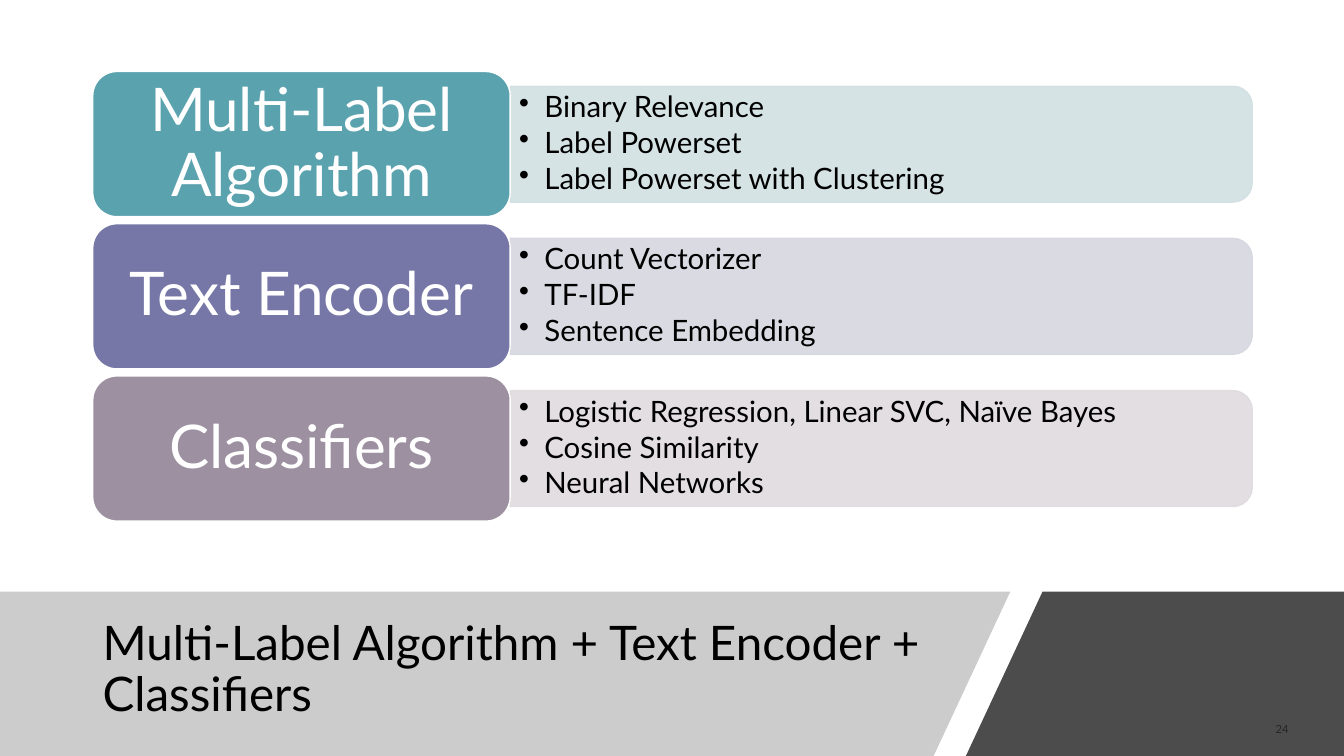
from pptx import Presentation
from pptx.dml.color import RGBColor
from pptx.enum.shapes import MSO_SHAPE as Shape
from pptx.enum.text import MSO_ANCHOR as Anchor, PP_ALIGN as Align
from pptx.oxml.ns import qn
from pptx.oxml.xmlchemy import OxmlElement
from pptx.util import Inches, Pt

COLORS = {
    "black": "000000", "white": "FFFFFF", "gray": "808080",
    "teal": "5AA2AE", "teal_light": "D2E0E3",
    "violet": "7677A6", "violet_light": "D7D7E1",
    "mauve": "9D90A0", "mauve_light": "DFDBDF",
}
TITLE = "Multi-Label Algorithm + Text Encoder + Classifiers"
STAGES = [
    ("Multi-Label Algorithm", "teal",
     ["Binary Relevance", "Label Powerset", "Label Powerset with Clustering"]),
    ("Text Encoder", "violet",
     ["Count Vectorizer", "TF-IDF", "Sentence Embedding"]),
    ("Classifiers", "mauve",
     ["Logistic Regression, Linear SVC, Naïve Bayes", "Cosine Similarity", "Neural Networks"]),
]
BAND_TOP, PAGE_WIDTH, PAGE_HEIGHT = 5.87, 13.33, 7.5
CARD_LEFT, CARD_TOP, CARD_WIDTH, CARD_HEIGHT = 0.92, 0.71, 4.14, 1.44
PANEL_WIDTH, PANEL_HEIGHT = 7.36, 1.15
STAGE_PITCH = 1.51


class SlideBuilder:
    def __init__(self, page, font="Lato"):
        self.page = page
        self.font = font

    def color(self, name):
        return RGBColor.from_string(COLORS[name])

    def paint(self, shape, fill, line=None, opacity=100):
        """Set fill and outline; opacity, in percent, applies to both."""
        shape.shadow.inherit = False
        shape.fill.solid()
        shape.fill.fore_color.rgb = self.color(fill)
        if line:
            shape.line.color.rgb = self.color(line)
            shape.line.width = Pt(1)
        else:
            shape.line.fill.background()
        if opacity < 100:
            for tint in shape._element.spPr.iter(qn("a:srgbClr")):
                alpha = OxmlElement("a:alpha")
                alpha.set("val", str(opacity * 1000))
                tint.append(alpha)

    def shape(self, kind, left, top, width, height, fill, line, opacity=100, rotation=0):
        shape = self.page.shapes.add_shape(
            kind, Inches(left), Inches(top), Inches(width), Inches(height))
        shape.rotation = rotation
        self.paint(shape, fill, line, opacity)
        return shape

    def polygon(self, points, fill, opacity):
        corners = [(Inches(x), Inches(y)) for x, y in points]
        builder = self.page.shapes.build_freeform(*corners[0])
        builder.add_line_segments(corners[1:], close=True)
        self.paint(builder.convert_to_shape(), fill, opacity=opacity)

    def text_box(self, left, top, width, height):
        return self.page.shapes.add_textbox(
            Inches(left), Inches(top), Inches(width), Inches(height))

    def add_text(self, box, lines, size, color, align=Align.LEFT, insets=(0.1, 0.05),
                 spacing=0.9, after=0, bullet=False):
        frame = box.text_frame
        frame.word_wrap = True
        frame.vertical_anchor = Anchor.MIDDLE
        frame.margin_left = frame.margin_right = Inches(insets[0])
        frame.margin_top = frame.margin_bottom = Inches(insets[1])
        for index, line in enumerate(lines):
            para = frame.add_paragraph() if index else frame.paragraphs[0]
            para.alignment = align
            para.line_spacing = spacing
            para.space_after = Pt(after)
            if bullet:
                self.add_bullet(para)
            span = para.add_run()
            span.text = line
            span.font.name = self.font
            span.font.size = Pt(size)
            span.font.color.rgb = self.color(color)

    def add_bullet(self, para, indent=0.25):
        props = para._p.get_or_add_pPr()
        props.set("marL", str(Inches(indent)))
        props.set("indent", str(-Inches(indent)))
        mark = OxmlElement("a:buChar")
        mark.set("char", "•")
        props.append(mark)

    def stage(self, top, name, color, items):
        """Draw a name card with its panel of bullets on the right."""
        card_right = CARD_LEFT + CARD_WIDTH
        middle = top + CARD_HEIGHT / 2
        # The panel is turned a quarter, so its unrotated frame is upright.
        self.shape(Shape.ROUND_2_SAME_RECTANGLE,
                   card_right + (PANEL_WIDTH - PANEL_HEIGHT) / 2, middle - PANEL_WIDTH / 2,
                   PANEL_HEIGHT, PANEL_WIDTH, color + "_light", color + "_light",
                   opacity=90, rotation=90)
        bullets = self.text_box(card_right, middle - 0.52, 7.3, 1.04)
        self.add_text(bullets, items, 21, "black", insets=(0.09, 0.04), after=3, bullet=True)
        card = self.shape(Shape.ROUNDED_RECTANGLE, CARD_LEFT, top, CARD_WIDTH, CARD_HEIGHT,
                          color, "white")
        self.add_text(card, [name], 43, "white", Align.CENTER, insets=(0.25, 0.16))


def main():
    deck = Presentation()
    deck.slide_width, deck.slide_height = Inches(PAGE_WIDTH), Inches(PAGE_HEIGHT)
    slide = SlideBuilder(deck.slides.add_slide(deck.slide_layouts[6]))

    number = slide.text_box(12, 7.14, 0.78, 0.15)
    slide.add_text(number, ["24"], 8, "gray", Align.RIGHT, insets=(0, 0), spacing=1.25)
    slide.polygon([(0, BAND_TOP), (10.02, BAND_TOP), (9.26, PAGE_HEIGHT), (0, PAGE_HEIGHT)],
                  "gray", 40)
    slide.add_text(slide.text_box(0.92, 6.05, 8.44, 1.2), [TITLE], 34, "black")
    slide.polygon([(10.34, BAND_TOP), (PAGE_WIDTH, BAND_TOP), (PAGE_WIDTH, PAGE_HEIGHT),
                   (9.58, PAGE_HEIGHT)], "black", 70)
    for index, (name, color, items) in enumerate(STAGES):
        slide.stage(CARD_TOP + index * STAGE_PITCH, name, color, items)
    deck.save("out.pptx")


if __name__ == "__main__":
    main()
